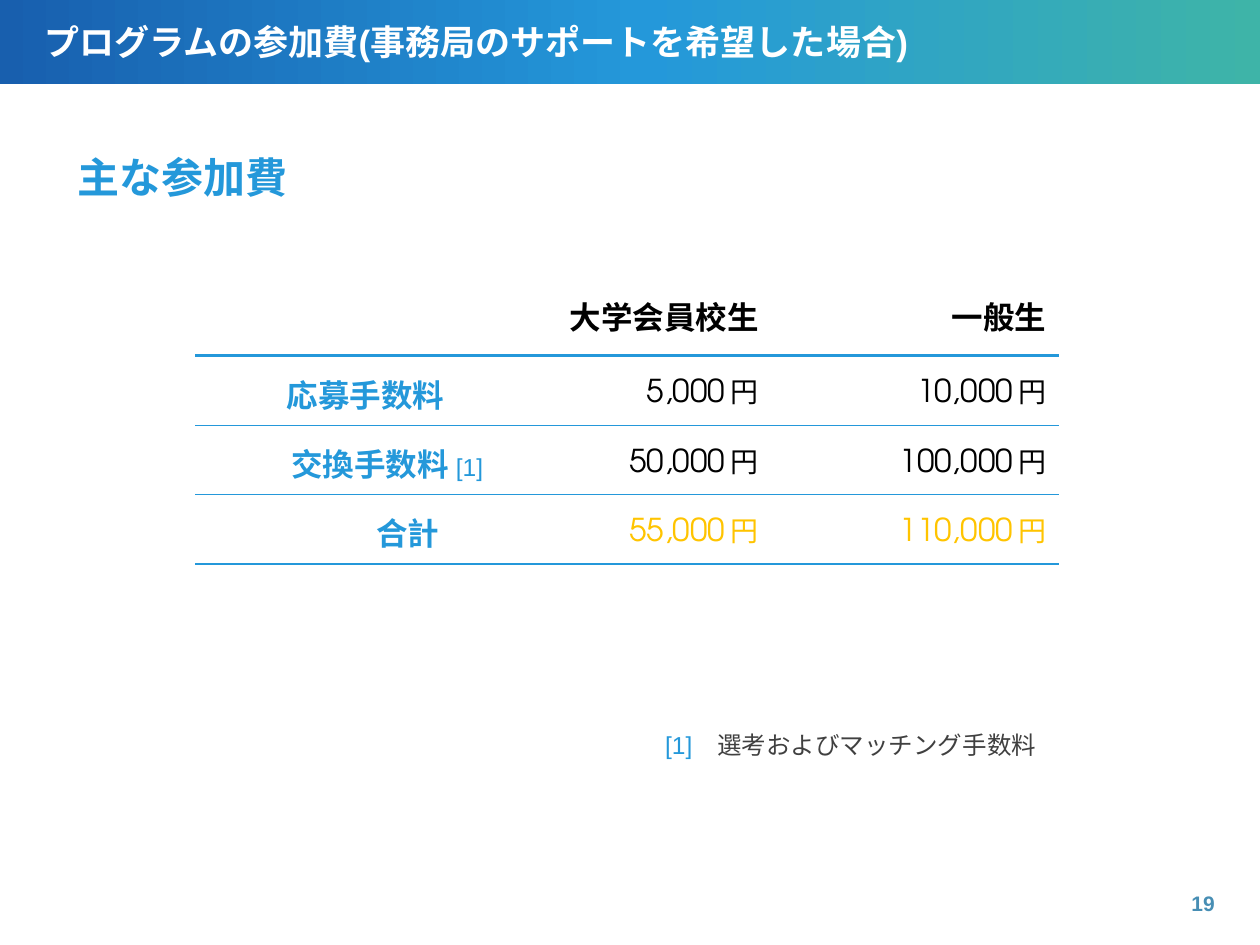
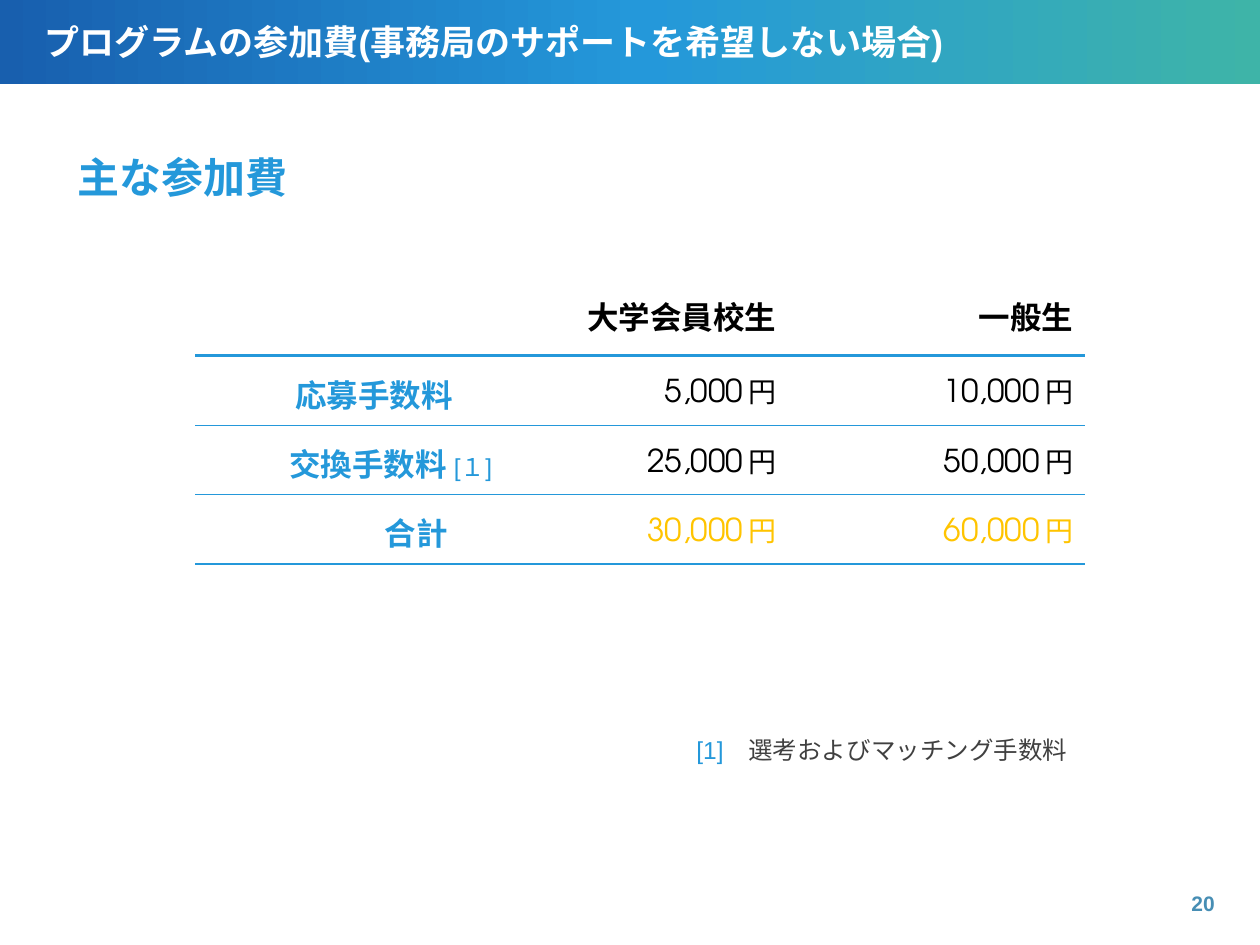
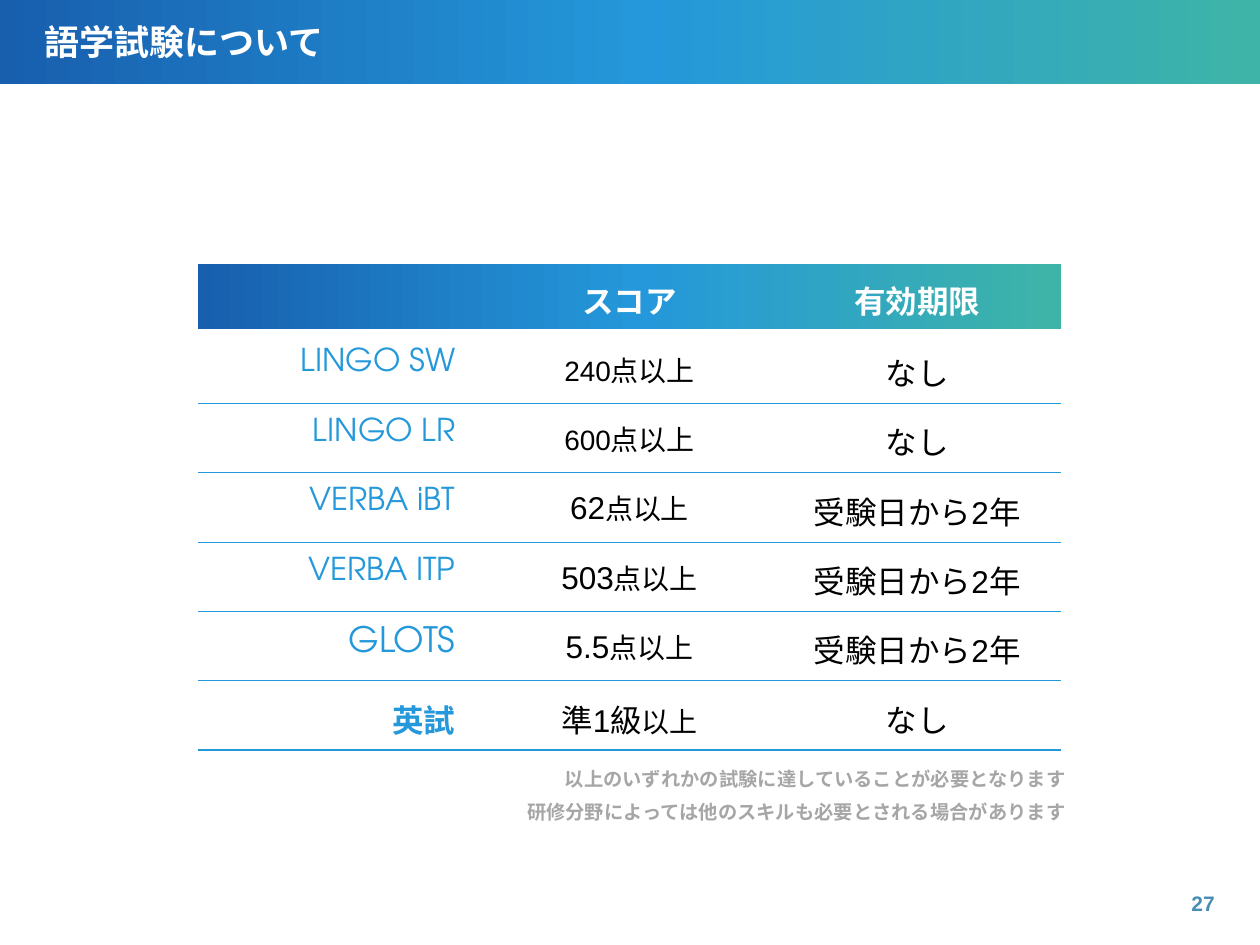
"""Build three slides on programme fees and language tests."""
from copy import deepcopy

from lxml.etree import SubElement
from pptx import Presentation
from pptx.dml.color import RGBColor as Rgb
from pptx.enum.shapes import MSO_SHAPE as Form
from pptx.enum.text import MSO_ANCHOR as Anchor, PP_ALIGN as Align
from pptx.oxml.ns import qn
from pptx.util import Cm, Pt

NAVY = Rgb(0x18, 0x5F, 0xAE)
BLUE = Rgb(0x24, 0x98, 0xDA)
TEAL = Rgb(0x3E, 0xB4, 0xA8)
STEEL = Rgb(0x47, 0x8E, 0xB4)
GOLD = Rgb(0xFF, 0xC4, 0x00)
GREY = Rgb(0xA6, 0xA6, 0xA6)
DARK = Rgb(0x40, 0x40, 0x40)
BLACK = Rgb(0, 0, 0)
WHITE = Rgb(0xFF, 0xFF, 0xFF)
SANS, ROUND, NOTE = "Arial", "TeX Gyre Adventor", "Calibri"

HEADS = ["大学会員校生", "一般生"]
FEES = [
    dict(title="プログラムの参加費(事務局のサポートを希望した場合)", page="19",
         mark="[1]", wide=5.8, note=(13.16, 14.58, 8.18, 0.86),
         rows=[("5,000", "10,000"), ("50,000", "100,000"), ("55,000", "110,000")]),
    dict(title="プログラムの参加費(事務局のサポートを希望しない場合)", page="20",
         mark="[１]", wide=5.98, note=(13.79, 14.68, 8.08, 2.06),
         rows=[("5,000", "10,000"), ("25,000", "50,000"), ("30,000", "60,000")]),
]
LABELS = [("応募手数料", 0.79), ("交換手数料 ", 0), ("合計", 0.89)]
TERM = "受験日から2年"
TESTS = [
    ("LINGO SW", dict(font=ROUND), "240", 16, "点以上", "なし"),
    ("LINGO LR", dict(font=ROUND), "600", 16, "点以上", "なし"),
    ("VERBA iBT", dict(font=ROUND), "62", 18, "点以上", TERM),
    ("VERBA ITP", dict(font=ROUND), "503", 18, "点以上", TERM),
    ("GLOTS", dict(font=ROUND, size=20), "5.5", 18, "点以上", TERM),
    ("英試", dict(bold=True), "準1級", 18, "以上", "なし"),
]
HINTS = [
    ("以上のいずれかの試験に達していることが必要となります", 15.34, 11.1),
    ("研修分野によっては他のスキルも必要とされる場合があります", 16, 11.89),
]
ROW = 1.4
RIGHT = 21.74


def write(frame, text, align=Align.LEFT, line=None, **base):
    """Write a string or (string, format) runs as one paragraph."""
    para = frame.paragraphs[0]
    para.alignment = align
    if line:
        para.line_spacing = line
    for part, own in [(text, {})] if isinstance(text, str) else text:
        look = dict(size=18, font=SANS, color=BLACK, bold=False, gap=0) | base | own
        run = para.add_run()
        run.text = part
        run.font.size, run.font.name = Pt(look["size"]), look["font"]
        run.font.bold, run.font.color.rgb = look["bold"], look["color"]
        if look["gap"]:
            run.font._element.set("spc", str(look["gap"] * 100))


def pad(part, top=0.13, right=0.25):
    """Set the inner margins of a cell or text frame."""
    part.margin_left, part.margin_top = Cm(0.25), Cm(top)
    part.margin_right, part.margin_bottom = Cm(right), Cm(0.13)


def label(slide, box, text, anchor=Anchor.TOP, top=0.13, **look):
    """Add a text box."""
    frame = slide.shapes.add_textbox(*map(Cm, box)).text_frame
    frame.word_wrap = True
    frame.vertical_anchor = anchor
    pad(frame, top)
    write(frame, text, **look)


def band(slide, *box):
    """Add a bar with the shared colour blend."""
    bar = slide.shapes.add_shape(Form.RECTANGLE, *map(Cm, box))
    bar.shadow.inherit = False
    bar.line.fill.background()
    bar.fill.gradient()
    bar.fill.gradient_angle = 0
    stops = bar._element.find(".//" + qn("a:gsLst"))
    stops.append(deepcopy(stops[-1]))
    blend = [(0, NAVY), (0.51, BLUE), (1, TEAL)]
    for stop, (place, color) in zip(bar.fill.gradient_stops, blend):
        stop.position, stop.color.rgb = place, color


def rule(cell, **lines):
    """Draw the named cell edges in blue and hide the others."""
    props = cell._tc.get_or_add_tcPr()
    for spot, side in enumerate("LRTB"):
        edge = SubElement(props, qn("a:ln" + side))
        props.insert(spot, edge)
        if lines.get(side):
            edge.set("w", str(Pt(lines[side])))
            fill = SubElement(edge, qn("a:solidFill"))
            SubElement(fill, qn("a:srgbClr")).set("val", str(BLUE))
        else:
            SubElement(edge, qn("a:noFill"))


def grid(slide, left, top, wide, count, head):
    """Add a ruled three-column table; head is the weight under its first row."""
    size = map(Cm, (left, top, 3 * wide, count * ROW))
    table = slide.shapes.add_table(count, 3, *size).table
    table.first_row = table.horz_banding = False
    for col in table.columns:
        col.width = Cm(wide)
    weights = [0, head] + [0.5] * (count - 2) + [1.5]
    for y, row in enumerate(table.rows):
        row.height = Cm(ROW)
        for cell in row.cells:
            if y or head:
                cell.fill.solid()
                cell.fill.fore_color.rgb = WHITE
            else:
                cell.fill.background()
            rule(cell, T=weights[y], B=weights[y + 1])
            pad(cell, 0.3 if y else 0.13 if head else 0.25)
    return table


def start(deck, title, page):
    """Add a slide with its title band and page number."""
    slide = deck.slides.add_slide(deck.slide_layouts[6])
    band(slide, 0, 0, 25.4, 1.7)
    label(slide, (19.02, 17.7, 5.72, 1.02), page, Anchor.MIDDLE,
          align=Align.RIGHT, size=12, color=STEEL, bold=True)
    label(slide, (0.64, 0, 19.66, 1.7), title, Anchor.MIDDLE, 0.2,
          line=0.9, size=20, color=WHITE, bold=True)
    return slide


def fees(deck, plan):
    """Add a fee slide."""
    slide = start(deck, plan["title"], plan["page"])
    table = grid(slide, 3.94, 5.77, plan["wide"], 4, 1.5)
    for x, head in enumerate(HEADS, 1):
        write(table.cell(0, x).text_frame, head, Align.RIGHT, bold=True)
    for y, ((name, edge), sums) in enumerate(zip(LABELS, plan["rows"]), 1):
        cell = table.cell(y, 0)
        cell.margin_right = Cm(edge)
        runs = [(name, dict(bold=True))]
        if y == 2:
            runs.append((plan["mark"], dict(size=14)))
        write(cell.text_frame, runs, Align.RIGHT, color=BLUE)
        for x, fee in enumerate(sums, 1):
            runs = [(fee[:-1], {}), (fee[-1], dict(gap=3)), ("円", dict(size=16))]
            write(table.cell(y, x).text_frame, runs, Align.RIGHT,
                  font=ROUND, color=GOLD if y == 3 else BLACK)
    label(slide, (1.32, 2.92, 14.6, 1.27), "主な参加費", size=24, color=BLUE, bold=True)
    runs = [("[1]　", dict(color=BLUE)), ("選考およびマッチング手数料", {})]
    label(slide, plan["note"], runs, size=14, color=DARK)


def tests(deck):
    """Add the language test slide."""
    slide = start(deck, "語学試験について", "27")
    band(slide, 3.99, 5.33, 17.4, 1.3)
    table = grid(slide, 3.99, 5.33, 5.8, len(TESTS) + 1, 0)
    for x, head in enumerate(["スコア", "有効期限"], 1):
        write(table.cell(0, x).text_frame, head, Align.CENTER, color=WHITE, bold=True)
    for y, (name, look, score, size, unit, term) in enumerate(TESTS, 1):
        first, mid, last = table.rows[y].cells
        first.margin_right = Cm(0.61)
        write(first.text_frame, name, Align.RIGHT, color=BLUE, **look)
        runs = [(score, dict(size=size)), (unit, dict(size=16))]
        write(mid.text_frame, runs, Align.CENTER)
        write(last.text_frame, term, Align.CENTER)
    for hint, top, wide in HINTS:
        label(slide, (RIGHT - wide, top, wide, 0.74), hint, align=Align.RIGHT,
              size=11, font=NOTE, color=GREY, bold=True)


def main():
    """Build and save the deck."""
    deck = Presentation()
    deck.slide_width, deck.slide_height = Cm(25.4), Cm(19.05)
    for plan in FEES:
        fees(deck, plan)
    tests(deck)
    deck.save("out.pptx")


if __name__ == "__main__":
    main()
